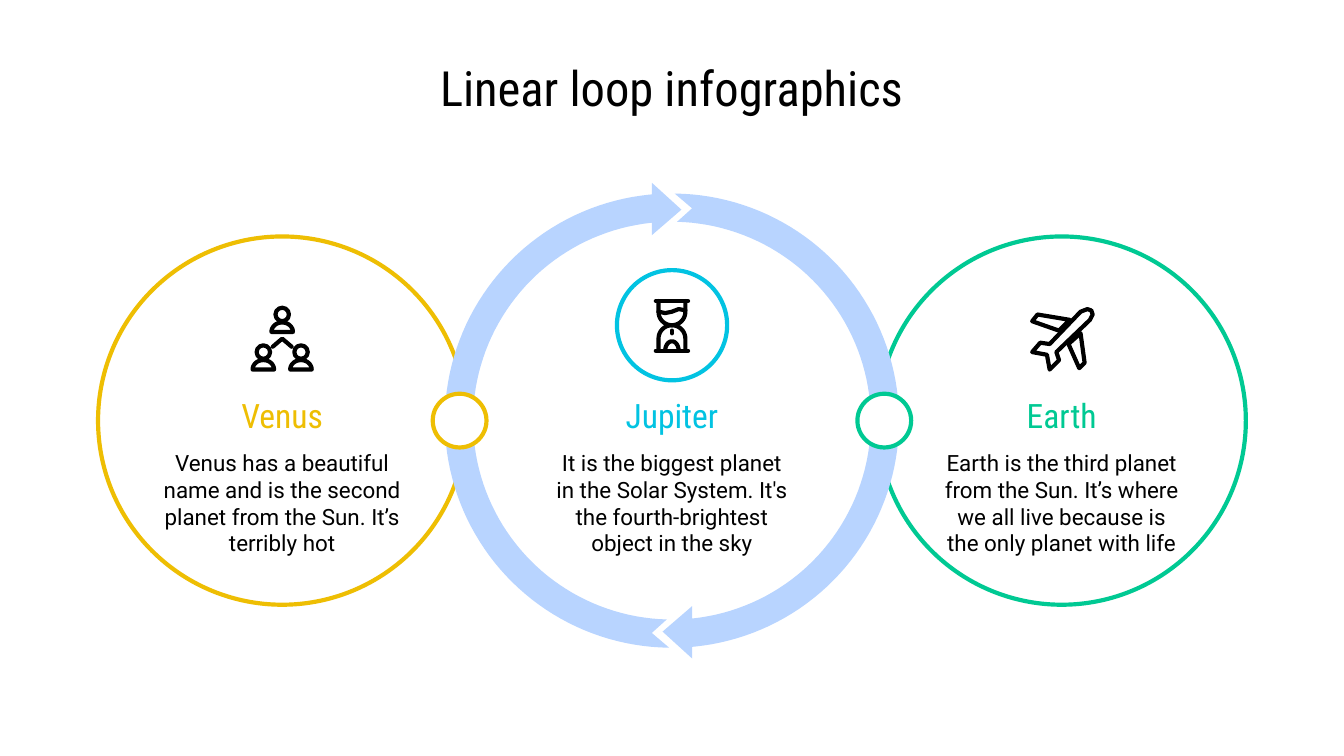
import math

from lxml import etree
from pptx import Presentation
from pptx.dml.color import RGBColor
from pptx.enum.shapes import MSO_SHAPE
from pptx.enum.text import MSO_ANCHOR, PP_ALIGN
from pptx.oxml.ns import qn
from pptx.util import Inches, Pt

OVAL = MSO_SHAPE.OVAL
CENTER = PP_ALIGN.CENTER
TOP = MSO_ANCHOR.TOP
MIDDLE = MSO_ANCHOR.MIDDLE

COLORS = {
    "black": "000000",
    "white": "FFFFFF",
    "venus": "EEBE03",
    "jupiter": "02C3E2",
    "earth": "00C993",
    "loop": "B8D4FF",
}
HEADING_FONT = "Roboto Condensed"
BODY_FONT = "Roboto"
STROKE = 2.25
LOOP_CENTER = (5, 3.13)


def color(name):
    return RGBColor.from_string(COLORS[name])


def style(shape, fill=None, line=None):
    shape.shadow.inherit = False
    if fill:
        shape.fill.solid()
        shape.fill.fore_color.rgb = color(fill)
    else:
        shape.fill.background()
    if line:
        shape.line.color.rgb = color(line)
        shape.line.width = Pt(STROKE)
    else:
        shape.line.fill.background()


def add_circle(shapes, center, radius, line, fill=None):
    x, y = center
    circle = shapes.add_shape(
        OVAL, Inches(x - radius), Inches(y - radius), Inches(2 * radius), Inches(2 * radius)
    )
    style(circle, fill, line)


def add_outline(shapes, points, origin=(0, 0), fill=None, line=None, close=True):
    vertices = [(Inches(origin[0] + x), Inches(origin[1] + y)) for x, y in points]
    builder = shapes.build_freeform(*vertices[0])
    builder.add_line_segments(vertices[1:], close=close)
    shape = builder.convert_to_shape()
    style(shape, fill, line)
    if line:
        stroke = shape.line._get_or_add_ln()
        stroke.set("cap", "rnd")
        etree.SubElement(stroke, qn("a:round"))


def arc(center, radius_x, radius_y, start, end, steps=20):
    angles = [math.radians(start + (end - start) * i / steps) for i in range(steps + 1)]
    return [(center[0] + radius_x * math.cos(a), center[1] + radius_y * math.sin(a)) for a in angles]


def add_text(slide, box, text, size, font, color_name, anchor):
    text_box = slide.shapes.add_textbox(*[Inches(length) for length in box])
    frame = text_box.text_frame
    frame.word_wrap = True
    frame.vertical_anchor = anchor
    frame.margin_left = frame.margin_right = Inches(0.1)
    frame.margin_top = frame.margin_bottom = Inches(0.1)
    paragraph = frame.paragraphs[0]
    paragraph.alignment = CENTER
    run = paragraph.add_run()
    run.text = text
    run.font.size = Pt(size)
    run.font.name = font
    run.font.color.rgb = color(color_name)


def add_loop(slide, center):
    shapes = slide.shapes.add_group_shape().shapes
    band = arc((0, 0), 1.69, 1.69, 266.6, 90.7, 80)
    band.append((-0.15, 1.58))
    band += arc((0, 0), 1.48, 1.48, 91.5, 266.1, 80)
    arrowhead = [(-0.15, -1.77), (-0.15, -1.38), (0.07, -1.57)]
    for sign in (1, -1):
        for points in (band, arrowhead):
            turned = [(sign * x, sign * y) for x, y in points]
            add_outline(shapes, turned, center, fill="loop")


def add_people_icon(slide, origin):
    shapes = slide.shapes.add_group_shape().shapes
    left, top = origin
    for x, y in ((0.24, 0), (0.1, 0.28), (0.38, 0.28)):
        add_circle(shapes, (left + x, top + y + 0.06), 0.05, "black")
        shoulders = arc((x, y + 0.19), 0.08, 0.07, 180, 360)
        add_outline(shapes, shoulders, origin, line="black")
    chevron = [(0.17, 0.3), (0.24, 0.24), (0.31, 0.3)]
    add_outline(shapes, chevron, origin, line="black", close=False)


def add_hourglass_icon(slide, origin):
    shapes = slide.shapes.add_group_shape().shapes
    strokes = [
        [(0.02, 0.02), (0.26, 0.02)],
        [(0.02, 0.39), (0.26, 0.39)],
        [(0.04, 0.02)] + arc((0.14, 0.1), 0.1, 0.1, 180, 0) + [(0.24, 0.02)],
        [(0.04, 0.39)] + arc((0.14, 0.3), 0.1, 0.1, 180, 360) + [(0.24, 0.39)],
        arc((0.14, 0.39), 0.05, 0.07, 180, 360),
        [(0.04, 0.1), (0.09, 0.11), (0.14, 0.1), (0.19, 0.08), (0.24, 0.09)],
        [(0.14, 0.24), (0.14, 0.26)],
    ]
    for points in strokes:
        add_outline(shapes, points, origin, line="black", close=False)


def add_plane_icon(slide, origin):
    shapes = slide.shapes.add_group_shape().shapes
    body = [
        (0.43, 0.02), (0.46, 0.03), (0.47, 0.06), (0.45, 0.1), (0.2, 0.34), (0.22, 0.4),
        (0.15, 0.47), (0.13, 0.36), (0.02, 0.34), (0.08, 0.27), (0.15, 0.28), (0.38, 0.04),
    ]
    left_wing = [(0.02, 0.11), (0.06, 0.06), (0.3, 0.1), (0.22, 0.18)]
    right_wing = [(0.38, 0.2), (0.41, 0.42), (0.37, 0.46), (0.29, 0.28)]
    for points in (body, left_wing, right_wing):
        add_outline(shapes, points, origin, line="black")


def add_panel(slide, box, planet, name, text):
    left, top, width = box
    add_text(slide, (left, top, width, 0.37), name, 18, HEADING_FONT, planet, MIDDLE)
    add_text(slide, (left, top + 0.34, width, 1.01), text, 12, BODY_FONT, "black", TOP)


def main():
    presentation = Presentation()
    presentation.slide_width = Inches(10)
    presentation.slide_height = presentation.slide_width * 9 // 16
    slide = presentation.slides.add_slide(presentation.slide_layouts[6])
    slide.background.fill.solid()
    slide.background.fill.fore_color.rgb = color("white")

    add_text(slide, (0.45, 0.33, 9.1, 0.63), "Linear loop infographics", 26, HEADING_FONT, "black", MIDDLE)
    middle = LOOP_CENTER[1]
    for planet, x in (("earth", 7.9), ("venus", 2.1)):
        add_circle(slide.shapes, (x, middle), 1.37, planet, "white")
    add_loop(slide, LOOP_CENTER)
    for planet, x in (("venus", 3.42), ("earth", 6.58)):
        add_circle(slide.shapes, (x, middle), 0.2, planet, "white")
    add_circle(slide.shapes, (5, 2.42), 0.41, "jupiter", "white")

    panels = [
        (1.1, "venus", "Venus",
         "Venus has a beautiful name and is the second planet from the Sun. It’s terribly hot"),
        (4, "jupiter", "Jupiter",
         "It is the biggest planet in the Solar System. It's the fourth-brightest object in the sky"),
        (6.9, "earth", "Earth",
         "Earth is the third planet from the Sun. It’s where we all live because is the only planet with life"),
    ]
    for left, planet, name, text in panels:
        add_panel(slide, (left, 2.9, 2), planet, name, text)
    add_people_icon(slide, (1.86, 2.28))
    add_hourglass_icon(slide, (4.86, 2.22))
    add_plane_icon(slide, (7.66, 2.28))
    presentation.save("out.pptx")


if __name__ == "__main__":
    main()
